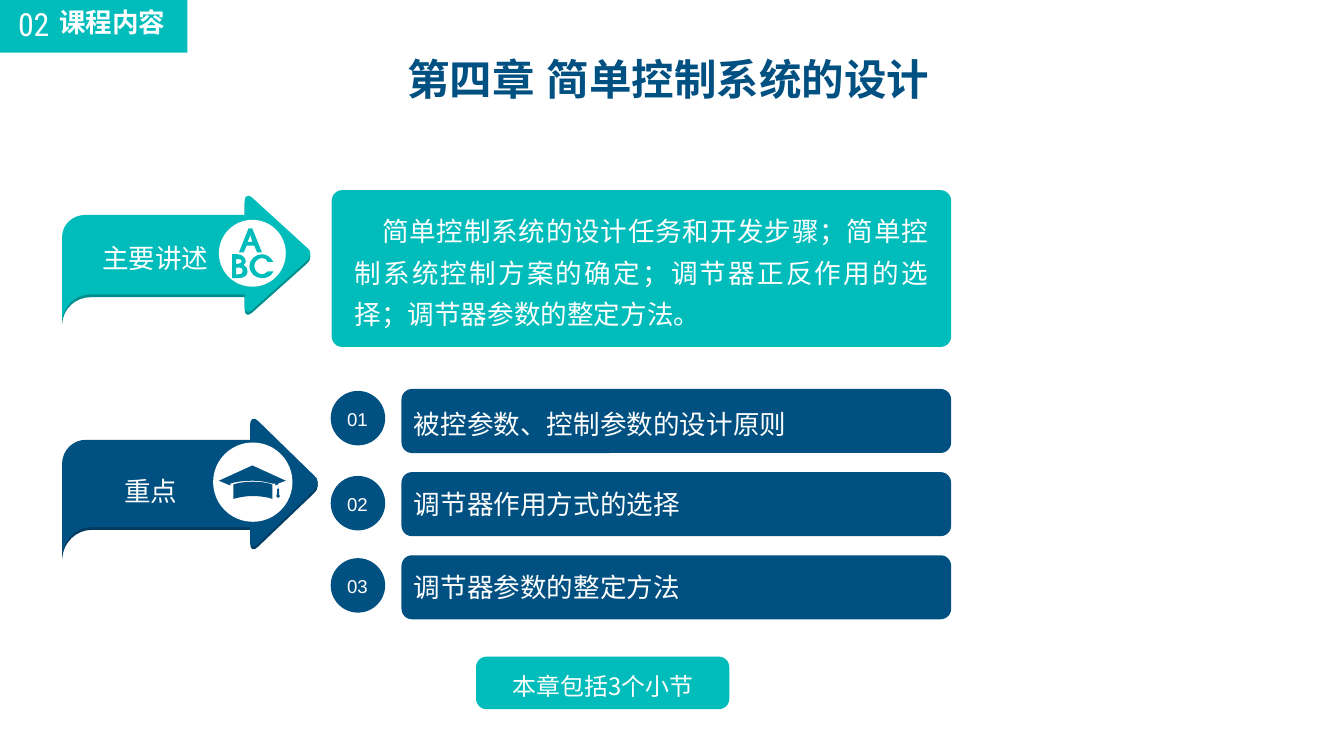
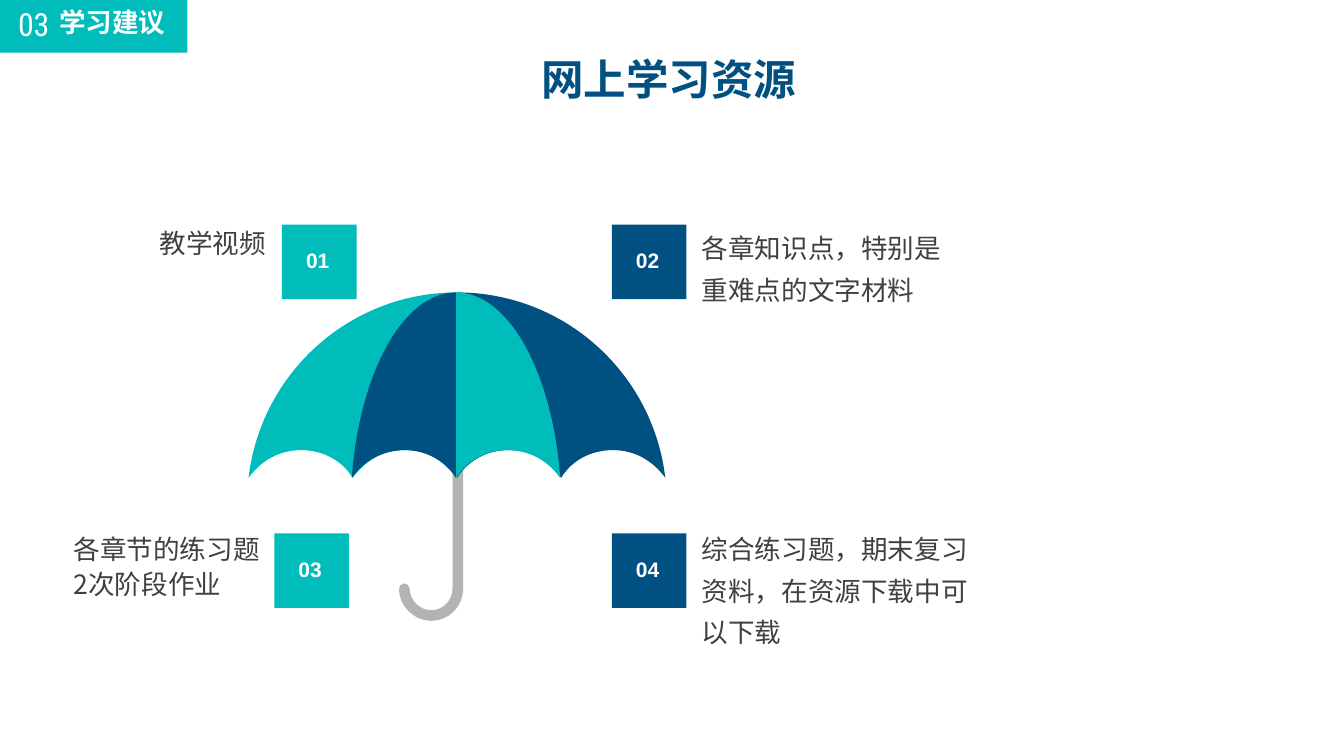
"""Build two course slides: a chapter outline and the online resources."""
from lxml.etree import SubElement
from pptx import Presentation
from pptx.dml.color import RGBColor as Rgb
from pptx.enum.shapes import MSO_SHAPE as Kind
from pptx.enum.text import MSO_ANCHOR as Anchor, MSO_AUTO_SIZE as Auto, PP_ALIGN as Align
from pptx.oxml.ns import qn
from pptx.util import Inches, Pt

TEAL, BLUE, WHITE, GRAY, INK = "00BDBC", "005081", "FFFFFF", "B3B3B3", "404040"
DARK = {TEAL: "008E8D", BLUE: "003C61"}
SANS, HEAD, NUM = "Noto Sans CJK SC", "Noto Sans CJK JP", "Roboto Condensed"

PLAN = {
    "part": ("02", "课程内容"),
    "title": "第四章 简单控制系统的设计",
    "main": "简单控制系统的设计任务和开发步骤；简单控制系统控制方案的确定；"
            "调节器正反作用的选择；调节器参数的整定方法。",
    "keys": [("被控参数、控制参数的设计原则", 1.2, 4.09), ("调节器作用方式的选择", 1, 4.98),
             ("调节器参数的整定方法", 1, 5.84)],
    "note": "本章包括3个小节",
}
WEB = {
    "part": ("03", "学习建议"),
    "title": "网上学习资源",
    "items": [
        ((1.17, 2.3, 1.88, 0.39), (2.95, 2.35), TEAL, [("教学视频", 0.9, 5)]),
        ((6.84, 2.22, 3.15, 1.47), (6.4, 2.35), BLUE,
         [("各章知识点，特别是重难点的文字材料", 1.3, 0)]),
        ((0.27, 5.37, 2.98, 0.84), (2.87, 5.58), TEAL,
         [("各章节的练习题", 1.3, 0), ("2次阶段作业", 0.9, 5)]),
        ((6.84, 5.37, 3.55, 1.26), (6.4, 5.58), BLUE,
         [("综合练习题，期末复习资料，在资源下载中可以下载", 1.3, 0)]),
    ],
}
SIGNS = [
    ("主要讲述", (0.97, 2.42, 1.32, 0.47), TEAL, 2.03, (1, 1), (2.29, 2.3, 0.7, 0.7)),
    ("重点", (1.2, 4.85, 0.76, 0.47), BLUE, 4.36, (1.03, 1.1), (2.23, 4.63, 0.83, 0.83)),
]
ARROW = [(0, 0.45), (0, 0.32, 0.11, 0.22, 0.24, 0.22), (1.91, 0.22), (1.91, 0.07),
         (1.91, 0.02, 1.95, 0, 1.99, 0.04), (2.56, 0.56),
         (2.61, 0.59, 2.61, 0.66, 2.56, 0.7), (1.99, 1.21),
         (1.95, 1.25, 1.91, 1.24, 1.91, 1.18), (1.91, 1.05), (0.3, 1.05),
         (0.14, 1.05, 0.01, 1.17, 0, 1.33)]
LETTERS = [
    [[(2.69, 2.64), (2.66, 2.57), (2.58, 2.57), (2.55, 2.64), (2.5, 2.64), (2.6, 2.39),
      (2.64, 2.39), (2.74, 2.64)],
     [(2.62, 2.46), (2.59, 2.53), (2.64, 2.53)]],
    [[(2.49, 2.91), (2.43, 2.91), (2.43, 2.66), (2.48, 2.66),
      (2.51, 2.66, 2.53, 2.67, 2.54, 2.68), (2.56, 2.69, 2.57, 2.71, 2.57, 2.73),
      (2.57, 2.75, 2.57, 2.76, 2.55, 2.77), (2.58, 2.79, 2.59, 2.81, 2.59, 2.84),
      (2.59, 2.88, 2.56, 2.91, 2.49, 2.91)],
     [(2.49, 2.71), (2.47, 2.71), (2.47, 2.76), (2.49, 2.76),
      (2.52, 2.76, 2.53, 2.75, 2.53, 2.73), (2.53, 2.72, 2.52, 2.71, 2.49, 2.71)],
     [(2.49, 2.8), (2.47, 2.8), (2.47, 2.87), (2.5, 2.87),
      (2.53, 2.87, 2.54, 2.86, 2.54, 2.83), (2.54, 2.81, 2.53, 2.8, 2.49, 2.8)]],
    [[(2.74, 2.91), (2.67, 2.91, 2.61, 2.86, 2.61, 2.78),
      (2.61, 2.72, 2.67, 2.66, 2.74, 2.66), (2.79, 2.66, 2.83, 2.69, 2.86, 2.74),
      (2.8, 2.74), (2.79, 2.71, 2.77, 2.7, 2.74, 2.7),
      (2.7, 2.7, 2.66, 2.74, 2.66, 2.78), (2.66, 2.83, 2.7, 2.87, 2.74, 2.87),
      (2.76, 2.87, 2.78, 2.86, 2.8, 2.84), (2.86, 2.84),
      (2.84, 2.89, 2.79, 2.91, 2.74, 2.91)]],
]
CAP = [
    [(2.64, 5.04), (2.51, 5.04, 2.44, 5.07, 2.44, 5.07), (2.44, 5.22),
     (2.44, 5.22, 2.54, 5.19, 2.64, 5.19), (2.71, 5.19, 2.78, 5.2, 2.82, 5.21),
     (2.85, 5.22), (2.85, 5.07), (2.8, 5.05, 2.73, 5.04, 2.64, 5.04)],
    [(2.92, 5.15), (2.92, 5.12), (2.91, 5.11), (2.91, 5.06), (2.99, 5.03), (2.64, 4.87),
     (2.29, 5.03), (2.41, 5.08), (2.41, 5.06), (2.41, 5.06, 2.49, 5.03, 2.64, 5.03),
     (2.74, 5.03, 2.81, 5.05, 2.85, 5.06), (2.88, 5.06), (2.88, 5.08), (2.91, 5.07),
     (2.91, 5.11), (2.9, 5.12), (2.9, 5.15), (2.9, 5.18, 2.89, 5.19, 2.89, 5.19),
     (2.89, 5.2, 2.9, 5.21, 2.91, 5.21), (2.92, 5.21, 2.93, 5.2, 2.93, 5.19),
     (2.92, 5.19, 2.92, 5.18, 2.92, 5.15)],
]
EDGE = [(0, 0), (0, 1.94), (0.12, 1.76, 0.31, 1.65, 0.54, 1.65),
        (0.77, 1.65, 0.96, 1.76, 1.09, 1.94)]
INNER = EDGE + [(1.01, 0.84, 0.55, 0, 0, 0)]
OUTER = EDGE + [(1.2, 1.76, 1.4, 1.65, 1.63, 1.65), (1.86, 1.65, 2.05, 1.76, 2.18, 1.94),
                (2.05, 0.84, 1.12, 0, 0, 0)]
STICK = [(4.23, 6.16), (4.23, 6.31, 4.36, 6.44, 4.51, 6.44),
         (4.67, 6.44, 4.79, 6.31, 4.79, 6.16), (4.79, 3.93)]


def tint(code):
    return Rgb.from_string(code)


def apply(part, vals):
    for key, val in vals.items():
        setattr(part, key, val)


def box(nums):
    return [Inches(num) for num in nums]


def place(shape, at):
    apply(shape, dict(zip(("left", "top", "width", "height"), box(at))))


def flat(shape, color):
    shape.shadow.inherit = False
    shape.fill.solid()
    shape.fill.fore_color.rgb = tint(color)
    shape.line.fill.background()
    return shape


def block(slide, kind, at, color):
    shape = flat(slide.shapes.add_shape(kind, *box(at)), color)
    if kind == Kind.ROUNDED_RECTANGLE:
        shape.adjustments[0] = 0.11 / at[3]
    return shape


def write(shape, lines, size=20, color=WHITE, face=SANS, bold=False, align=Align.LEFT,
          inset=(0.1, 0.05), anchor=Anchor.MIDDLE, wrap=True, left=0, first=0):
    frame = shape.text_frame
    side, top = box(inset)
    apply(frame, dict(margin_left=side, margin_right=side, margin_top=top,
                      margin_bottom=top, word_wrap=wrap, auto_size=Auto.NONE,
                      vertical_anchor=anchor))
    for i, (text, space, before) in enumerate(lines):
        par = frame.add_paragraph() if i else frame.paragraphs[0]
        apply(par, dict(alignment=align, line_spacing=space, space_before=Pt(before)))
        props = par._p.get_or_add_pPr()
        for key, val in dict(marL=Inches(left), indent=Inches(first), hangingPunct=0).items():
            props.set(key, str(val))
        SubElement(props, qn("a:buNone"))
        run = par.add_run()
        run.text = text
        apply(run.font, dict(size=Pt(size), bold=bold, name=face))
        run.font.color.rgb = tint(color)
        SubElement(run._r.get_or_add_rPr(), qn("a:ea")).set("typeface", face)


def label(slide, at, text, space=1, **look):
    look = {"anchor": Anchor.TOP, **look}
    write(slide.shapes.add_textbox(*box(at)), [(text, space, 0)], **look)


def bend(path, steps=12):
    pts = []
    for node in path:
        if len(node) == 1:
            pts += node
            continue
        ctrl = [pts[-1], *node]
        for i in range(1, steps + 1):
            t = i / steps
            mix = ((1 - t) ** 3, 3 * t * (1 - t) ** 2, 3 * t * t * (1 - t), t ** 3)
            pts.append([sum(m * c[k] for m, c in zip(mix, ctrl)) for k in (0, 1)])
    return pts


def draw(slide, paths, at=(0, 0), scale=(1, 1), close=True):
    paths = [[[box(o + s * v for o, s, v in zip(at, scale, node[k:k + 2]))
               for k in range(0, len(node), 2)] for node in path] for path in paths]
    pen = None
    for path in paths:
        pts = bend(path)
        if pen:
            pen.move_to(*pts[0])
        else:
            pen = slide.shapes.build_freeform(*pts[0])
        pen.add_line_segments(pts[1:], close=close)
    shape = pen.convert_to_shape()
    trail = shape._element.spPr.find(".//" + qn("a:path"))
    for old in list(trail):
        trail.remove(old)
    for path in paths:
        for i, node in enumerate(path):
            tag = "a:moveTo" if i == 0 else "a:lnTo" if len(node) == 1 else "a:cubicBezTo"
            step = SubElement(trail, qn(tag))
            for x, y in node:
                SubElement(step, qn("a:pt"), x=str(x - shape.left), y=str(y - shape.top))
        if close:
            SubElement(trail, qn("a:close"))
    return shape


def begin(deck, layout, data):
    slide = deck.slides.add_slide(deck.slide_layouts[layout])
    title = slide.shapes.title
    place(title, (3.09, 0.39, 7.81, 0.7))
    write(title, [(data["title"], 1.3, 0)], size=32, color=BLUE, face="Arial", bold=True,
          align=Align.CENTER, inset=(0, 0), anchor=Anchor.TOP)
    num, name = data["part"]
    block(slide, Kind.RECTANGLE, (0, 0, 1.96, 0.55), TEAL)
    label(slide, (0.52, 0.01, 1.43, 0.44), name, face=HEAD, bold=True)
    label(slide, (0.09, 0, 1.31, 0.5), num, size=24, face=NUM)
    return slide


def outline(deck):
    slide = begin(deck, 5, PLAN)
    block(slide, Kind.ROUNDED_RECTANGLE, (3.47, 1.99, 6.48, 1.64), TEAL)
    label(slide, (3.71, 2.15, 6, 1.31), PLAN["main"], 1.3, align=Align.JUSTIFY,
          inset=(0, 0), first=0.29)
    for i, (text, space, top) in enumerate(PLAN["keys"]):
        block(slide, Kind.OVAL, (3.46, top, 0.57, 0.57), BLUE)
        label(slide, (3.55, top + 0.13, 0.38, 0.28), f"{i + 1:02}", size=14, face="Arial",
              align=Align.CENTER, inset=(0, 0), anchor=Anchor.BOTTOM)
        bar = block(slide, Kind.ROUNDED_RECTANGLE, (4.2, 4.07 + 0.87 * i, 5.75, 0.67), BLUE)
        write(bar, [(text, space, 0)])
    note = block(slide, Kind.ROUNDED_RECTANGLE, (4.98, 6.87, 2.65, 0.55), TEAL)
    write(note, [(PLAN["note"], 1.2, 0)], size=18, align=Align.CENTER)
    for text, spot, color, top, scale, disc in SIGNS:
        flat(draw(slide, [ARROW], (0.65, top + 0.03), scale), DARK[color])
        flat(draw(slide, [ARROW], (0.65, top), scale), color)
        label(slide, spot, text, 1.2, wrap=False)
        block(slide, Kind.OVAL, disc, WHITE)
    for glyph in LETTERS:
        flat(draw(slide, glyph), TEAL)
    for path in CAP:
        flat(draw(slide, [path]), BLUE)


def online(deck):
    slide = begin(deck, 4, WEB)
    stick = draw(slide, [STICK], close=False)
    stick.shadow.inherit = False
    stick.fill.background()
    stick.line.color.rgb = tint(GRAY)
    stick.line.width = Pt(8)
    stick._element.spPr.find(qn("a:ln")).set("cap", "rnd")
    for path, mid, right, left in ((OUTER, 4.78, BLUE, TEAL), (INNER, 4.77, TEAL, BLUE)):
        for color, side in ((right, 1), (left, -1)):
            flat(draw(slide, [path], (mid, 3.06), (side, 1)), color)
    for i, (at, (x, y), color, lines) in enumerate(WEB["items"], 1):
        body = slide.placeholders[i]
        place(body, at)
        write(body, lines, color=INK, inset=(0, 0.11), anchor=Anchor.TOP, left=0.5)
        block(slide, Kind.RECTANGLE, (x, y, 0.78, 0.78), color)
        label(slide, (x + 0.06, y + 0.1, 0.63, 0.49), f"{i:02}", 1.2, size=15.8, face="Arial",
              bold=True, align=Align.CENTER, inset=(0, 0.11), anchor=Anchor.MIDDLE)


deck = Presentation()
apply(deck, dict(slide_width=Inches(14.06), slide_height=Inches(7.91)))
outline(deck)
online(deck)
deck.save("out.pptx")
